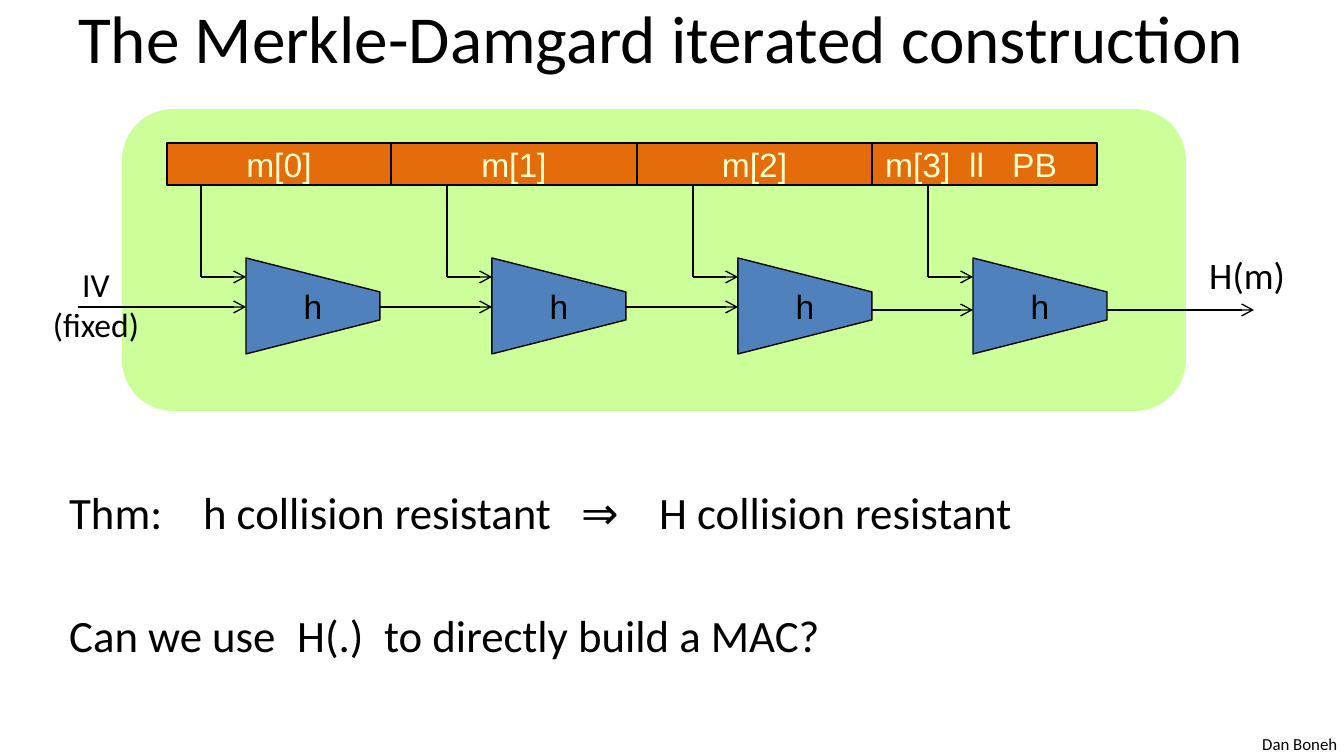
from lxml import etree
from pptx import Presentation
from pptx.dml.color import RGBColor
from pptx.enum.shapes import MSO_CONNECTOR, MSO_SHAPE
from pptx.enum.text import MSO_ANCHOR, PP_ALIGN
from pptx.oxml.ns import qn
from pptx.util import Pt

PX = 914400 / 134.4
BLACK = RGBColor(0x00, 0x00, 0x00)
GREEN = RGBColor(0xCC, 0xFF, 0x99)
BLUE = RGBColor(0x4F, 0x81, 0xBD)
ORANGE = RGBColor(0xE4, 0x6C, 0x0A)
CREAM = RGBColor(0xFF, 0xFF, 0xCC)
LEFT, CENTER = PP_ALIGN.LEFT, PP_ALIGN.CENTER
TOP, MIDDLE = MSO_ANCHOR.TOP, MSO_ANCHOR.MIDDLE
STRAIGHT = MSO_CONNECTOR.STRAIGHT
RECT, ROUND_RECT = MSO_SHAPE.RECTANGLE, MSO_SHAPE.ROUNDED_RECTANGLE


def write(sp, lines, size, font="Calibri", color=BLACK, align=LEFT,
          anchor=TOP, wrap=False, gap=0):
    """Fill a shape with paragraphs, each given as (text, tab stops in px)."""
    tf = sp.text_frame
    tf.word_wrap = wrap
    tf.vertical_anchor = anchor
    for i, (text, tabs) in enumerate(lines):
        p = tf.add_paragraph() if i else tf.paragraphs[0]
        p.alignment = align
        if i:
            p.space_before = Pt(gap)
        if tabs:
            tab_list = etree.SubElement(p._p.get_or_add_pPr(), qn("a:tabLst"))
            for pos in tabs:
                etree.SubElement(tab_list, qn("a:tab"), pos=str(round(pos * PX)), algn="l")
        r = p.add_run()
        r.text = text
        r.font.size = Pt(size)
        r.font.name = font
        r.font.color.rgb = color


def add_line(x1, y1, x2, y2, arrow=True):
    line = s.shapes.add_connector(STRAIGHT, *(round(v * PX) for v in (x1, y1, x2, y2)))
    line.line.color.rgb = BLACK
    line.line.width = Pt(0.75)
    if arrow:
        etree.SubElement(line.line._get_or_add_ln(), qn("a:tailEnd"), type="arrow")
    etree.SubElement(line._element.spPr, qn("a:effectLst"))


prs = Presentation()
prs.slide_width, prs.slide_height = round(1344 * PX), round(756 * PX)
s = prs.slides.add_slide(prs.slide_layouts[6])

# Green panel behind the chain
panel = s.shapes.add_shape(ROUND_RECT, *(round(v * PX) for v in (122, 109, 1064, 302)))
panel.shadow.inherit = False
panel.adjustments[0] = 0.17
panel.fill.solid()
panel.fill.fore_color.rgb = GREEN
panel.line.fill.background()

# Message blocks
BLOCK_Y, BLOCK_H = 143, 42
block_edges = [167, 391, 637, 872, 1097]
blocks = [("m[0]", [], CENTER), ("m[1]", [], CENTER), ("m[2]", [], CENTER),
          ("m[3]\tll\tPB", [84, 127], LEFT)]
for x, right, (text, tabs, align) in zip(block_edges, block_edges[1:], blocks):
    sp = s.shapes.add_shape(RECT, *(round(v * PX) for v in (x, BLOCK_Y, right - x, BLOCK_H)))
    sp.shadow.inherit = False
    sp.fill.solid()
    sp.fill.fore_color.rgb = ORANGE
    sp.line.color.rgb = BLACK
    sp.line.width = Pt(0.75)
    write(sp, [(text, tabs)], 18, "Arial", CREAM, align, MIDDLE, wrap=True)

# Compression functions, each fed by the block above it
H_TOP, H_BOTTOM, H_W, TAPER = 258, 354, 134, 34
FEED_DX, FEED_Y = 45, 277
h_lefts = [246, 492, 738, 973]
for x in h_lefts:
    corners = [(x, H_TOP), (x + H_W, H_TOP + TAPER),
               (x + H_W, H_BOTTOM - TAPER), (x, H_BOTTOM)]
    points = [(round(a * PX), round(b * PX)) for a, b in corners]
    outline = s.shapes.build_freeform(*points[0])
    outline.add_line_segments(points[1:], close=True)
    sp = outline.convert_to_shape()
    sp.shadow.inherit = False
    sp.fill.solid()
    sp.fill.fore_color.rgb = BLUE
    sp.line.color.rgb = BLACK
    sp.line.width = Pt(0.75)
    write(sp, [("h", [])], 18, "Arial", BLACK, CENTER, MIDDLE)
    add_line(x - FEED_DX, BLOCK_Y + BLOCK_H, x - FEED_DX, FEED_Y, arrow=False)
    add_line(x - FEED_DX, FEED_Y, x, FEED_Y)

# Chaining arrows from IV to H(m)
starts = [78] + [x + H_W for x in h_lefts]
ends = h_lefts + [1254]
for x1, x2, y in zip(starts, ends, [307, 307, 307, 310, 310]):
    add_line(x1, y, x2, y)

# Title, labels, body and footer
texts = [
    ((11, -26, 1300, 126), [("The Merkle-Damgard iterated construction", [])], 36,
     dict(align=CENTER, anchor=MIDDLE, wrap=True)),
    ((38, 257, 116, 95), [("IV", []), ("(fixed)", [])], 18, dict(align=CENTER)),
    ((1196, 246, 103, 59), [("H(m)", [])], 20, {}),
    ((56, 478, 1199, 202),
     [("Thm:\th collision resistant\t⇒\tH collision resistant", [134, 512, 590]),
      ("Can we use\tH(.)\tto directly build a MAC?", [228, 315])], 24,
     dict(wrap=True, gap=37)),
    ((1249, 727, 102, 34), [("Dan Boneh", [])], 9, {}),
]
for box, lines, size, style in texts:
    sp = s.shapes.add_textbox(*(round(v * PX) for v in box))
    write(sp, lines, size, **style)

prs.save("out.pptx")
